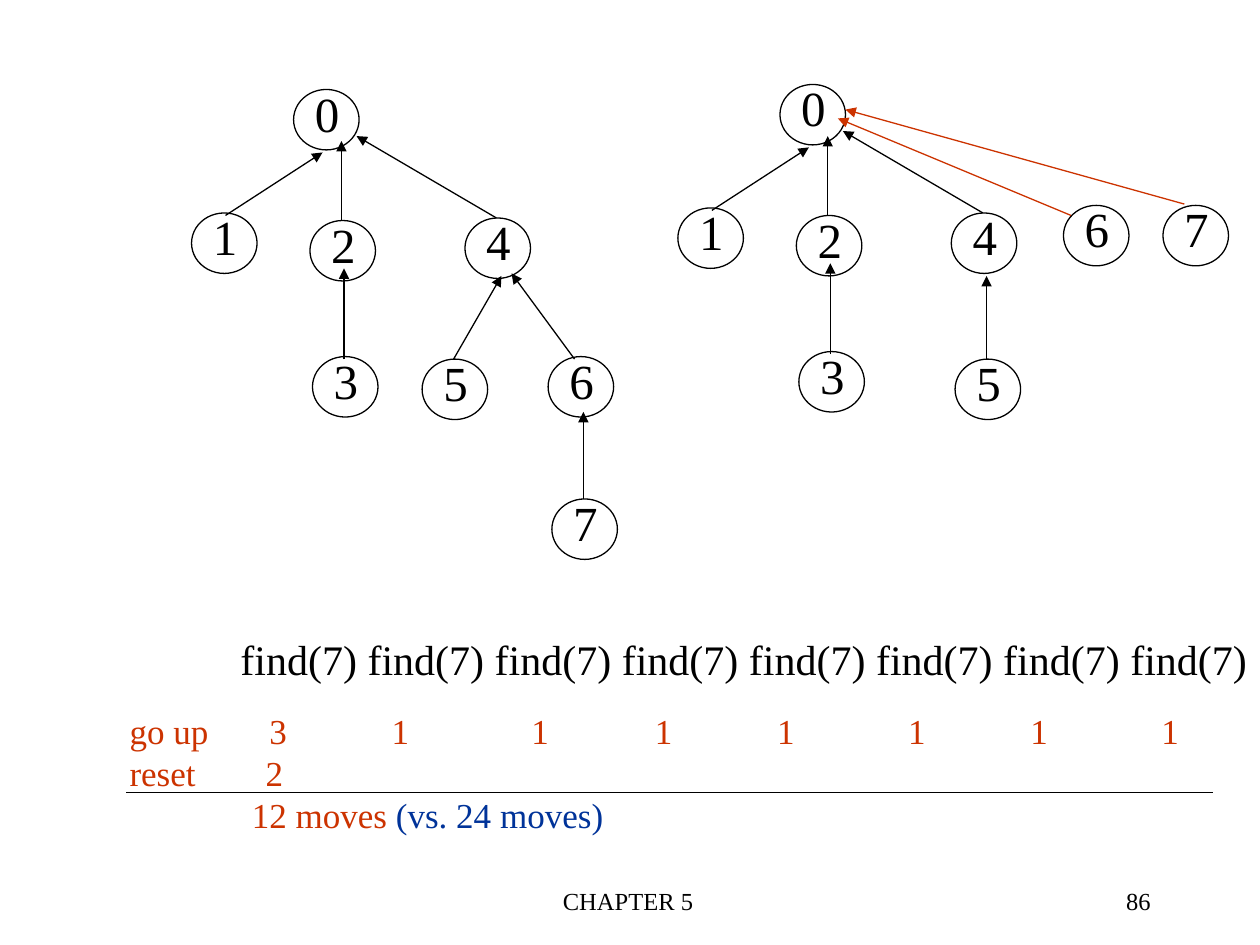
import pptx
import pptx.dml.color
import pptx.enum.shapes
import pptx.enum.text
import pptx.oxml.ns
import pptx.oxml.xmlchemy
import pptx.util
from pptx.util import Inches

COLORS = {"black": "000000", "red": "CC3300", "blue": "003399"}
FONT = "Times New Roman"
ALIGN = pptx.enum.text.PP_ALIGN
NODE = (0.52, 0.48)

SHARED = {
    "nodes": {"0": (0.81, 0), "1": (0, 0.98), "2": (0.94, 1.04),
              "4": (2.17, 1.02), "3": (0.96, 2.12)},
    "edges": [(1.21, 2.14, 1.21, 1.42, "black"), (0.27, 1, 1.04, 0.5, "black"),
              (1.19, 1.04, 1.19, 0.41, "black"), (2.42, 1.02, 1.31, 0.37, "black")],
}
BEFORE = {
    "nodes": {"5": (1.83, 2.14), "6": (2.83, 2.12), "7": (2.86, 3.25)},
    "edges": [(3.11, 3.25, 3.11, 2.56, "black"), (2.08, 2.14, 2.46, 1.48, "black"),
              (3.04, 2.14, 2.54, 1.46, "black")],
}
AFTER = {
    "nodes": {"5": (2.2, 2.18), "6": (3.06, 0.96), "7": (3.85, 0.96)},
    "edges": [(2.45, 2.18, 2.45, 1.52, "black"), (3.12, 1.04, 1.27, 0.27, "red"),
              (4.02, 0.95, 1.33, 0.2, "red")],
}


def shade(name):
    return pptx.dml.color.RGBColor.from_string(COLORS[name])


def make(tag, **attrs):
    item = pptx.oxml.xmlchemy.OxmlElement(tag)
    for key, value in attrs.items():
        item.set(key, str(value))
    return item


def add_run(para, text, size, color="black"):
    run = para.add_run()
    run.text = text
    run.font.name = FONT
    run.font.size = pptx.util.Pt(size)
    run.font.color.rgb = shade(color)


def add_box(slide, left, top, width, height, wrap=True):
    box = slide.shapes.add_textbox(Inches(left), Inches(top), Inches(width), Inches(height))
    box.text_frame.word_wrap = wrap
    return box.text_frame


def add_label(slide, box, text, size, align, wrap=True):
    para = add_box(slide, *box, wrap=wrap).paragraphs[0]
    para.alignment = align
    add_run(para, text, size)


def add_line(slide, start, end, color="black", arrow=False):
    line = slide.shapes.add_connector(
        pptx.enum.shapes.MSO_CONNECTOR.STRAIGHT,
        *(Inches(v) for v in (*start, *end)))
    line.line.color.rgb = shade(color)
    line.line.width = pptx.util.Pt(0.75)
    props = line._element.spPr
    if arrow:
        props.find(pptx.oxml.ns.qn("a:ln")).append(make("a:tailEnd", type="triangle"))
    props.append(make("a:effectLst"))


def add_node(slide, left, top, text):
    ring = slide.shapes.add_shape(
        pptx.enum.shapes.MSO_SHAPE.OVAL,
        Inches(left), Inches(top), Inches(NODE[0]), Inches(NODE[1]))
    ring.shadow.inherit = False
    ring.fill.background()
    ring.line.color.rgb = shade("black")
    ring.line.width = pptx.util.Pt(0.75)
    add_label(slide, (left + 0.07, top - 0.1, 0.39, 0.57), text, 28, ALIGN.CENTER, wrap=False)


def add_tree(slide, left, top, extra):
    for part in (SHARED, extra):
        for text, (x, y) in part["nodes"].items():
            add_node(slide, left + x, top + y, text)
        for x1, y1, x2, y2, color in part["edges"]:
            add_line(slide, (left + x1, top + y1), (left + x2, top + y2), color, arrow=True)


def set_tabs(para, stops):
    tabs = make("a:tabLst")
    for stop in stops:
        tabs.append(make("a:tab", pos=Inches(stop), algn="l"))
    para._p.get_or_add_pPr().append(tabs)


def add_costs(slide, left, top, width, height):
    frame = add_box(slide, left, top, width, height)
    rows = [
        (["go up", "3"] + ["1"] * 7, [1.11, 2.08, 3.19, 4.17, 5.14, 6.18, 7.15, 8.19]),
        (["reset", "2"], [1.08]),
    ]
    for index, (cells, stops) in enumerate(rows):
        para = frame.add_paragraph() if index else frame.paragraphs[0]
        set_tabs(para, stops)
        add_run(para, "\t".join(cells), 20, "red")
    total = frame.add_paragraph()
    props = total._p.get_or_add_pPr()
    props.set("marL", str(Inches(0.97)))
    props.set("indent", "0")
    add_run(total, "12 moves ", 20, "red")
    add_run(total, "(vs. 24 moves)", 20, "blue")
    rule = top + 0.71
    add_line(slide, (left + 0.07, rule), (left + 8.7, rule))


def add_foot(slide, top, height):
    add_label(slide, (3.4, top, 3.17, height), "CHAPTER 5", 14, ALIGN.CENTER)
    add_label(slide, (7.15, top, 2.08, height), "86", 14, ALIGN.RIGHT)


def main():
    deck = pptx.Presentation()
    deck.slide_width, deck.slide_height = Inches(10), Inches(7.5)
    slide = deck.slides.add_slide(deck.slide_layouts[6])
    add_tree(slide, 1.52, 0.71, BEFORE)
    add_tree(slide, 5.38, 0.67, AFTER)
    add_label(slide, (1.81, 4.98, 8.19, 0.5), " ".join(["find(7)"] * 8), 24,
              ALIGN.LEFT, wrap=False)
    add_costs(slide, 0.93, 5.58, 8.6, 1.1)
    add_foot(slide, 6.98, 0.5)
    deck.save("out.pptx")


if __name__ == "__main__":
    main()
